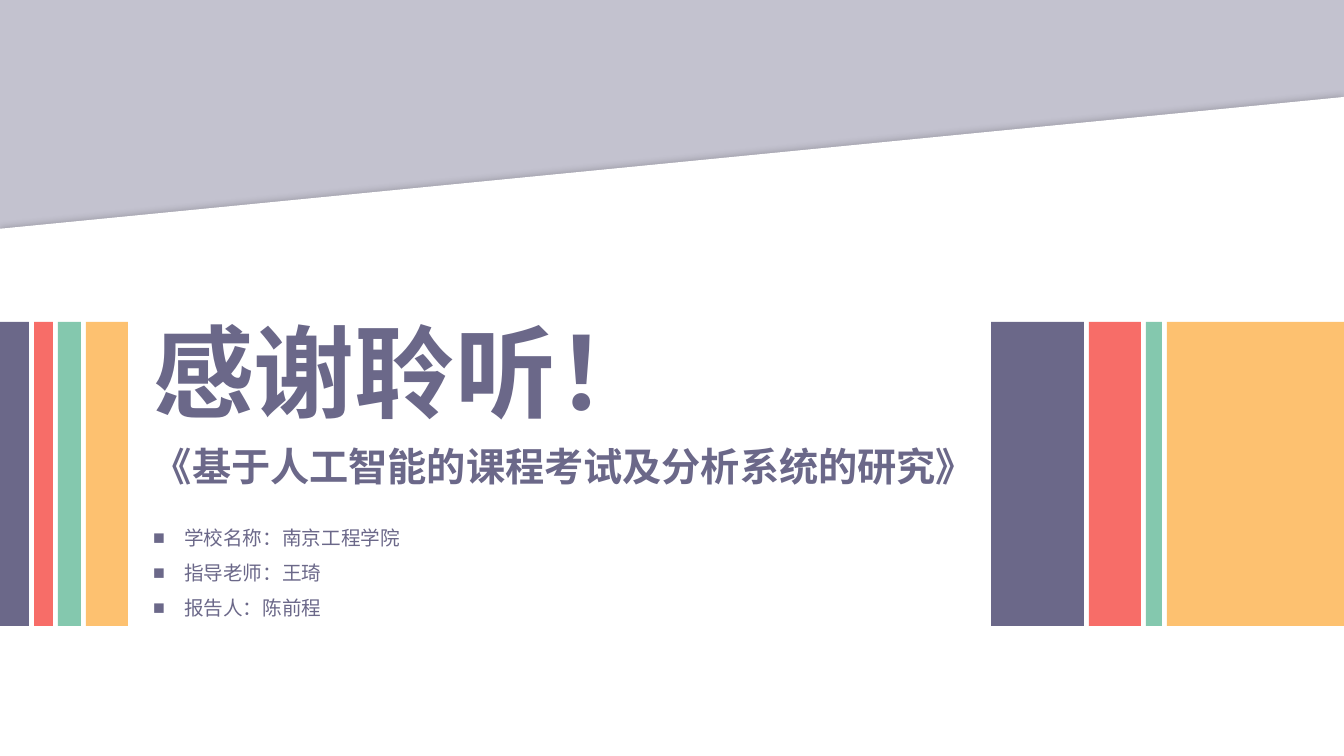
from lxml import etree
from pptx import Presentation
from pptx import util as u
from pptx.dml.color import RGBColor
from pptx.enum import shapes, text
from pptx.oxml import ns

EMU_PER_PX = 914400 / 100.8
WIDTH, HEIGHT = 1344, 756
FONT = "Noto Sans CJK SC"
PURPLE, RED, GREEN, YELLOW, WHITE = "6B6889", "F76D68", "84C8AE", "FDC170", "FFFFFF"
STRIPE_COLORS = [PURPLE, RED, GREEN, YELLOW]
STRIPE_TOP, STRIPE_HEIGHT, STRIPE_GAP = 322, 304, 5
TEXT_LEFT = 143
BULLET_INDENT = 31


def px(length):
    return u.Emu(round(length * EMU_PER_PX))


def color(hex_value):
    return RGBColor.from_string(hex_value)


def sub(parent, tag, **attributes):
    """Append a DrawingML child element and return it."""
    child = etree.SubElement(parent, ns.qn(tag))
    for name, value in attributes.items():
        child.set(name, str(value))
    return child


def add_block(owner, preset, box, fill):
    block = owner.add_shape(preset, *map(px, box))
    block.shadow.inherit = False
    block.fill.solid()
    block.fill.fore_color.rgb = color(fill)
    block.line.fill.background()
    return block


def add_backdrop(slide):
    """Draw the pale purple field and the slanted white sheet over it."""
    preset = shapes.MSO_SHAPE
    field = add_block(slide.shapes, preset.RECTANGLE, (0, 0, WIDTH, HEIGHT), PURPLE)
    field_color = field.element.spPr.find(".//" + ns.qn("a:srgbClr"))
    sub(field_color, "a:alpha", val=40000)

    sheet_top = 97
    sheet = add_block(slide.shapes, preset.FLOWCHART_MANUAL_INPUT,
                      (0, sheet_top, WIDTH, HEIGHT - sheet_top), WHITE)
    effects = sheet.element.spPr.find(ns.qn("a:effectLst"))
    shadow = sub(effects, "a:outerShdw", blurRad=u.Pt(5), dist=0, dir=0,
                 algn="ctr", rotWithShape=0)
    sub(sub(shadow, "a:srgbClr", val="000000"), "a:alpha", val=20000)


def add_stripes(slide, left, widths):
    band = slide.shapes.add_group_shape()
    for width, fill in zip(widths, STRIPE_COLORS):
        add_block(band.shapes, shapes.MSO_SHAPE.RECTANGLE,
                  (left, STRIPE_TOP, width, STRIPE_HEIGHT), fill)
        left += width + STRIPE_GAP


def write_lines(holder, box, lines, size, bold=False, wrap=False):
    """Place a text holder and fill it, one paragraph a line."""
    for side, length in zip(("left", "top", "width", "height"), box):
        setattr(holder, side, px(length))
    frame = holder.text_frame
    frame_format = {"word_wrap": wrap, "vertical_anchor": text.MSO_ANCHOR.TOP,
                    "auto_size": text.MSO_AUTO_SIZE.SHAPE_TO_FIT_TEXT}
    for name, value in frame_format.items():
        setattr(frame, name, value)
    frame.text = "\n".join(lines)
    for paragraph in frame.paragraphs:
        paragraph.alignment = text.PP_ALIGN.LEFT
        run = paragraph.runs[0]
        font_format = {"size": u.Pt(size), "bold": bold, "name": FONT}
        for name, value in font_format.items():
            setattr(run.font, name, value)
        run.font.color.rgb = color(PURPLE)
        sub(run._r.get_or_add_rPr(), "a:ea", typeface=FONT)


def add_bullets(holder):
    for paragraph in holder.text_frame.paragraphs:
        paragraph.line_spacing = 1.5
        paragraph.space_before = u.Pt(0)
        properties = paragraph._p.get_or_add_pPr()
        properties.set("marL", str(px(BULLET_INDENT)))
        properties.set("indent", str(-px(BULLET_INDENT)))
        sub(properties, "a:buFont", typeface="Arial")
        sub(properties, "a:buChar", char="■")


def main():
    deck = Presentation()
    deck.slide_width, deck.slide_height = px(WIDTH), px(HEIGHT)
    slide = deck.slides.add_slide(deck.slide_layouts[1])
    thanks, details = slide.placeholders

    add_backdrop(slide)
    add_stripes(slide, 0, [29, 19, 23, 42])
    add_stripes(slide, 991, [93, 52, 16, 177])

    # Placeholders start at the back; bring them in front of the backdrop.
    for holder in (thanks, details):
        slide.shapes.element.append(holder.element)
    write_lines(thanks, (TEXT_LEFT, 305, 529, 132), ["感谢聆听！"], 72, bold=True)
    write_lines(details, (TEXT_LEFT, 509, 808, 113),
                ["学校名称：南京工程学院", "指导老师：王琦", "报告人：陈前程"], 14, wrap=True)
    add_bullets(details)

    topic_box = (TEXT_LEFT, 437, 852, 57)
    topic = slide.shapes.add_textbox(*map(px, topic_box))
    write_lines(topic, topic_box, ["《基于人工智能的课程考试及分析系统的研究》"], 28, bold=True)

    deck.save("out.pptx")


if __name__ == "__main__":
    main()
